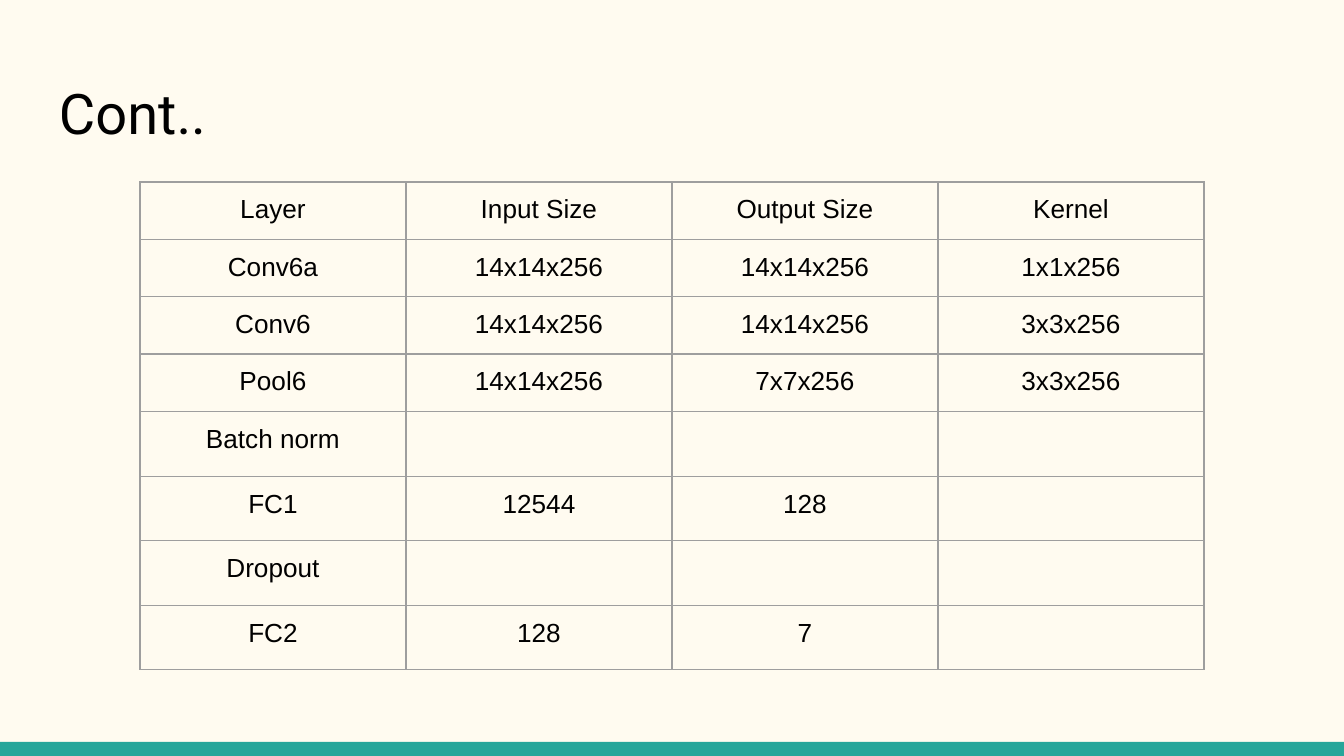
from typing import NamedTuple

from pptx import Presentation
from pptx import util as u
from pptx.dml.color import RGBColor
from pptx.enum import shapes, text
from pptx.oxml import parse_xml
from pptx.oxml.ns import nsdecls

EMU_PER_PX = 914400 / 134.4
COLOURS = {"page": "FFFBF0", "bar": "26A69A", "ink": "000000", "grid": "9E9E9E"}
INSET = 13


class Layer(NamedTuple):
    name: str
    input_size: str = ""
    output_size: str = ""
    kernel: str = ""


class Area(NamedTuple):
    left: int
    top: int
    width: int
    height: int


LAYERS = [
    Layer("Layer", "Input Size", "Output Size", "Kernel"),
    Layer("Conv6a", "14x14x256", "14x14x256", "1x1x256"),
    Layer("Conv6", "14x14x256", "14x14x256", "3x3x256"),
    Layer("Pool6", "14x14x256", "7x7x256", "3x3x256"),
    Layer("Batch norm"),
    Layer("FC1", "12544", "128"),
    Layer("Dropout"),
    Layer("FC2", "128", "7"),
]
ROW_HEIGHTS = [56] * 4 + [65, 64] * 2
COLUMN_WIDTH = 266


def px(length: int) -> u.Emu:
    return u.Emu(round(length * EMU_PER_PX))


def place(area: Area) -> list[u.Emu]:
    return [px(length) for length in area]


def colour(name: str) -> RGBColor:
    return RGBColor.from_string(COLOURS[name])


def style_paragraph(para, font: str, size: int) -> None:
    para.font.name = font
    para.font.size = u.Pt(size)
    para.font.color.rgb = colour("ink")


def set_insets(holder) -> None:
    """Give a cell or text frame the same margin on all sides."""
    for side in ("left", "top", "right", "bottom"):
        setattr(holder, f"margin_{side}", px(INSET))


def add_borders(cell) -> None:
    properties = cell._tc.get_or_add_tcPr()
    for position, side in enumerate("LRTB"):
        properties.insert(position, parse_xml(
            f'<a:ln{side} {nsdecls("a")} w="{u.Pt(0.75)}"><a:solidFill>'
            f'<a:srgbClr val="{COLOURS["grid"]}"/></a:solidFill></a:ln{side}>'))


def add_title(page, title: str, area: Area) -> None:
    box = page.shapes.add_textbox(*place(area))
    frame = box.text_frame
    frame.word_wrap = True
    frame.vertical_anchor = text.MSO_ANCHOR.TOP
    set_insets(frame)
    frame.text = title
    style_paragraph(frame.paragraphs[0], "Roboto", 30)


def add_bar(page, area: Area) -> None:
    bar = page.shapes.add_shape(shapes.MSO_SHAPE.RECTANGLE, *place(area))
    bar.shadow.inherit = False
    bar.fill.solid()
    bar.fill.fore_color.rgb = colour("bar")
    bar.line.fill.background()


def add_layer_table(page, layers: list[Layer], left: int, top: int) -> None:
    columns = len(Layer._fields)
    area = Area(left, top, columns * COLUMN_WIDTH, sum(ROW_HEIGHTS))
    table = page.shapes.add_table(len(layers), columns, *place(area)).table
    table.first_row = table.horz_banding = False
    for column in table.columns:
        column.width = px(COLUMN_WIDTH)
    for row, height, layer in zip(table.rows, ROW_HEIGHTS, layers):
        row.height = px(height)
        for cell, value in zip(row.cells, layer):
            cell.text = value
            cell.fill.background()
            set_insets(cell)
            add_borders(cell)
            para = cell.text_frame.paragraphs[0]
            para.alignment = text.PP_ALIGN.CENTER
            style_paragraph(para, "Arial", 14)


def main() -> None:
    deck = Presentation()
    deck.slide_width, deck.slide_height = px(1344), px(756)
    page = deck.slides.add_slide(deck.slide_layouts[6])
    page.background.fill.solid()
    page.background.fill.fore_color.rgb = colour("page")
    add_bar(page, Area(0, 742, 1344, 14))
    add_title(page, "Cont..", Area(46, 66, 1252, 90))
    add_layer_table(page, LAYERS, 140, 182)
    deck.save("out.pptx")


if __name__ == "__main__":
    main()
